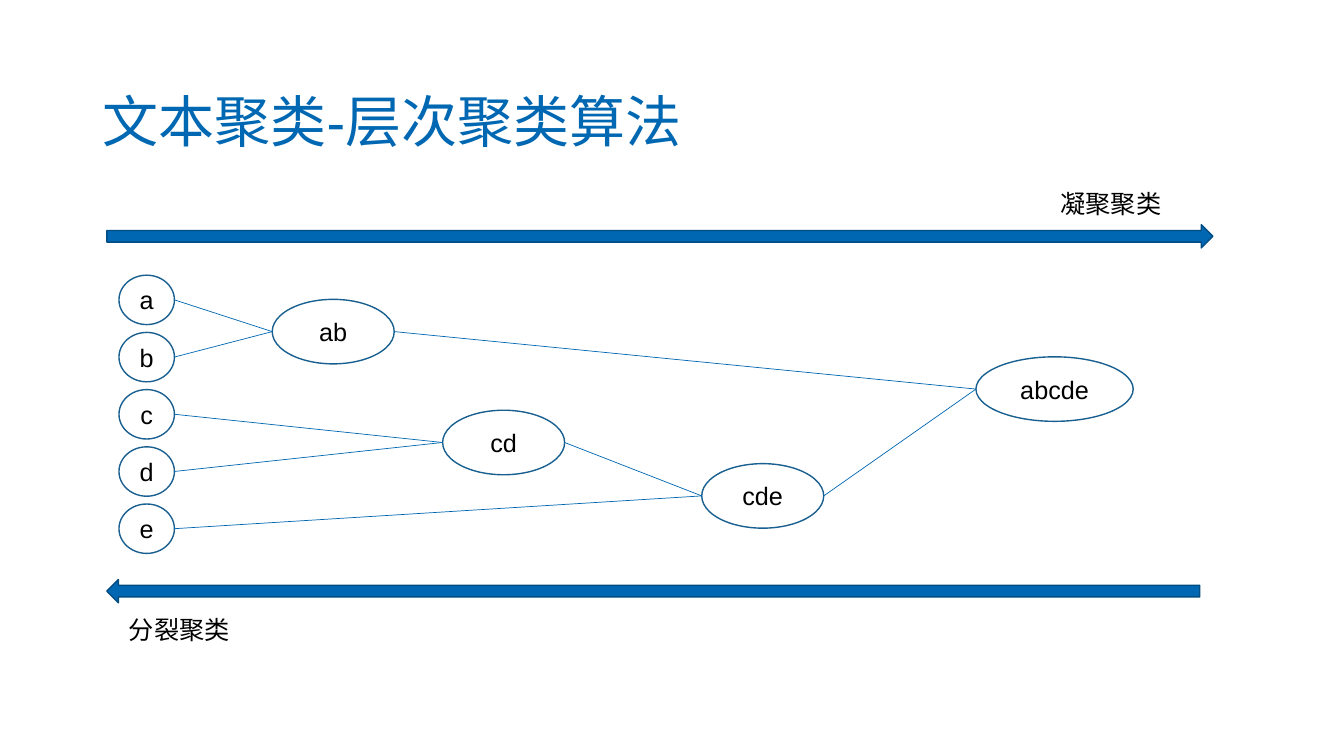
import pptx
import pptx.dml.color
import pptx.enum.shapes
import pptx.enum.text
import pptx.oxml
import pptx.util
from pptx.util import Inches

BLUE = "0068B2"
SHAPES = pptx.enum.shapes.MSO_SHAPE
ALIGN = pptx.enum.text.PP_ALIGN
ANCHOR = pptx.enum.text.MSO_ANCHOR

LEAF_LEFT, LEAF_TOP, LEAF_STEP = 1.18, 2.73, 0.5675
LEAF_SIZE = (0.55, 0.49)
CLUSTERS = [
    ("ab", 2.7, 2.97, 1.21),
    ("cd", 4.39, 4.07, 1.21),
    ("cde", 6.96, 4.6, 1.21),
    ("abcde", 9.68, 3.54, 1.56),
]
CLUSTER_HEIGHT = 0.64
MERGES = [
    ("a", "ab"), ("b", "ab"), ("c", "cd"), ("d", "cd"),
    ("e", "cde"), ("cd", "cde"), ("ab", "abcde"), ("cde", "abcde"),
]


def color(value):
    return pptx.dml.color.RGBColor.from_string(value)


def write(shape, text, size, text_color, alignment):
    paragraph = shape.text_frame.paragraphs[0]
    paragraph.text = text
    paragraph.alignment = alignment
    paragraph.font.size = pptx.util.Pt(size)
    paragraph.font.name = "Arial"
    paragraph.font.color.rgb = color(text_color)
    return paragraph


def add_title(slide, text):
    title = slide.shapes.title
    title.left, title.top = Inches(0.92), Inches(0.4)
    title.width, title.height = Inches(11.5), Inches(1.45)
    title.text_frame.vertical_anchor = ANCHOR.MIDDLE
    write(title, text, 40, BLUE, ALIGN.LEFT).line_spacing = 1.2


def add_outlined_shape(slide, kind, left, top, width, height, fill, line):
    shape = slide.shapes.add_shape(
        kind, Inches(left), Inches(top), Inches(width), Inches(height))
    shape.shadow.inherit = False
    shape.fill.solid()
    shape.fill.fore_color.rgb = color(fill)
    shape.line.color.rgb = color(line)
    shape.line.width = pptx.util.Pt(1)
    return shape


def add_node(slide, text, left, top, width, height):
    node = add_outlined_shape(
        slide, SHAPES.OVAL, left, top, width, height, "FFFFFF", "196090")
    node.text_frame.vertical_anchor = ANCHOR.MIDDLE
    write(node, text, 18, "000000", ALIGN.CENTER)
    return node


def add_label(slide, text, left, top):
    label = slide.shapes.add_textbox(
        Inches(left), Inches(top), Inches(1.61), Inches(0.4))
    label.text_frame.word_wrap = True
    write(label, text, 18, "000000", ALIGN.LEFT)


def add_merge_line(slide, child, parent):
    line = slide.shapes.add_connector(
        pptx.enum.shapes.MSO_CONNECTOR.STRAIGHT,
        child.left + child.width, child.top + child.height // 2,
        parent.left, parent.top + parent.height // 2)
    line.line.color.rgb = color(BLUE)
    line.line.width = pptx.util.Pt(0.5)
    properties = line._element.spPr
    properties.append(pptx.oxml.parse_xml(
        '<a:effectLst xmlns:a="http://schemas.openxmlformats.org/drawingml/2006/main"/>'))


def main():
    presentation = pptx.Presentation()
    presentation.slide_width = Inches(13.33)
    presentation.slide_height = Inches(7.5)
    slide = presentation.slides.add_slide(presentation.slide_layouts[5])

    add_title(slide, "文本聚类-层次聚类算法")
    add_outlined_shape(
        slide, SHAPES.RIGHT_ARROW, 1.06, 2.23, 10.97, 0.23, BLUE, "004D84")
    add_outlined_shape(
        slide, SHAPES.LEFT_ARROW, 1.06, 5.75, 10.84, 0.23, BLUE, "004D84")
    add_label(slide, "分裂聚类", 1.18, 6.05)
    add_label(slide, "凝聚聚类", 10.42, 1.82)

    nodes = {}
    for index, name in enumerate("abcde"):
        top = LEAF_TOP + index * LEAF_STEP
        nodes[name] = add_node(slide, name, LEAF_LEFT, top, *LEAF_SIZE)
    for name, left, top, width in CLUSTERS:
        nodes[name] = add_node(slide, name, left, top, width, CLUSTER_HEIGHT)
    for child, parent in MERGES:
        add_merge_line(slide, nodes[child], nodes[parent])

    presentation.save("out.pptx")


if __name__ == "__main__":
    main()
